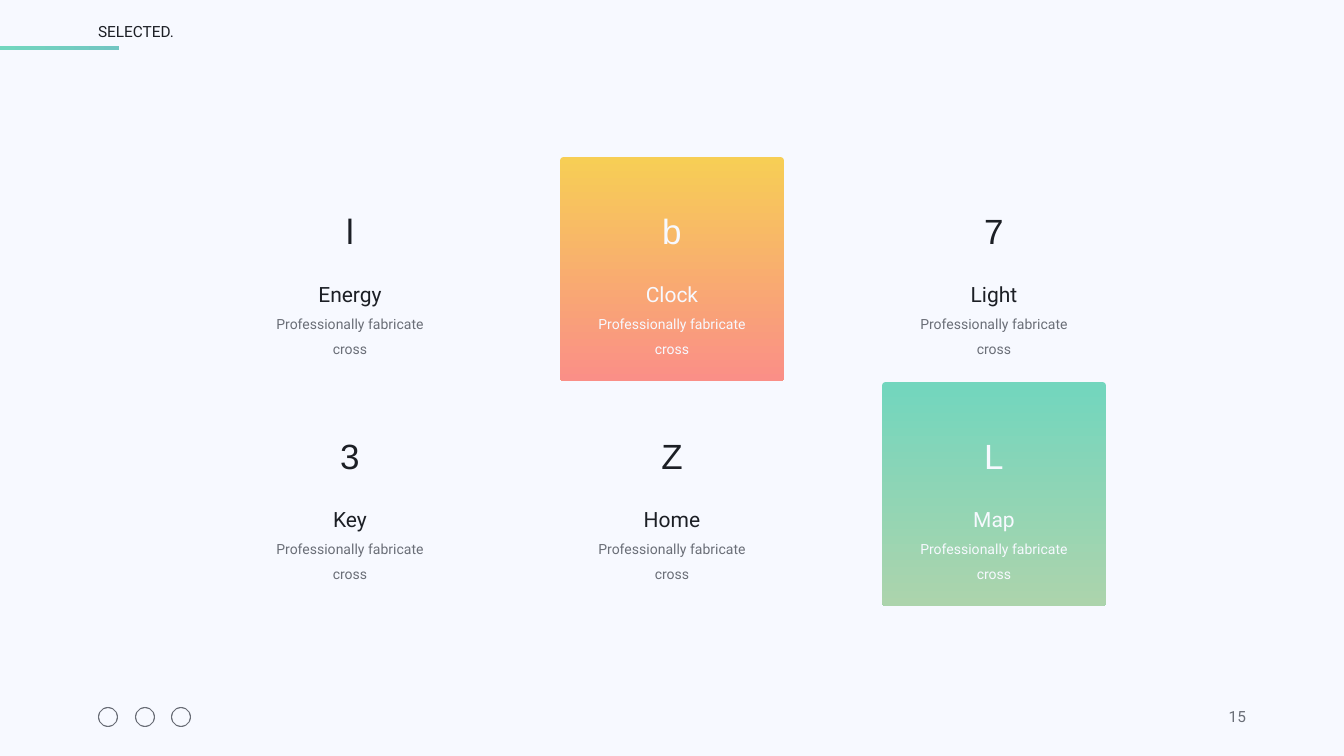
from pptx import Presentation
from pptx.dml.color import RGBColor
from pptx.enum.shapes import MSO_SHAPE as Shape
from pptx.enum.text import MSO_ANCHOR as Anchor, MSO_AUTO_SIZE as AutoSize, PP_ALIGN as Align
from pptx.util import Pt

INK, GREY, PALE = "1C1F25", "6A6E77", "F7F9FF"
TITLE = "SELECTED."
PAGE_NUMBER = "15"
CAPTION = "Professionally fabricate cross"
SUNSET, MEADOW = ("F7CE55", "FA8F87"), ("72D6BE", "ACD4AC")
BAR_COLORS = ("72D6BE", "72C6C2")

# Rows of features: icon letter, name, card gradient
FEATURES = [
    [("l", "Energy", None), ("b", "Clock", SUNSET), ("7", "Light", None)],
    [("3", "Key", None), ("Z", "Home", None), ("L", "Map", MEADOW)],
]

# Lengths in px
SCALE = 914400 / 50.4
GRID_LEFT, GRID_TOP = 238, 157
COLUMN_STEP, ROW_STEP = 322, 225
CARD = 224
RING_LEFT, RING_TOP, RING_SIZE = 98, 707, 20
RING_LEFTS = (98, 135, 171)


def px(*lengths):
    return [round(length * SCALE) for length in lengths]


def color(hex_string):
    return RGBColor.from_string(hex_string)


def add_filled(page, kind, place, colors, angle=0):
    shape = page.shapes.add_shape(kind, *px(*place))
    shape.shadow.inherit = False
    shape.line.fill.background()
    if len(colors) == 1:
        shape.fill.solid()
        shape.fill.fore_color.rgb = color(colors[0])
    else:
        shape.fill.gradient()
        shape.fill.gradient_angle = angle
        for stop, stop_color in zip(shape.fill.gradient_stops, colors):
            stop.color.rgb = color(stop_color)
    return shape


def write(box, lines, align, spacing=None, anchor=Anchor.TOP):
    """Fill a tight box with lines of (text, size, font, color)."""
    frame = box.text_frame
    frame.text = "\n".join(line[0] for line in lines)
    frame.margin_left = frame.margin_top = frame.margin_right = frame.margin_bottom = 0
    frame.vertical_anchor = anchor
    frame.word_wrap = False
    frame.auto_size = AutoSize.SHAPE_TO_FIT_TEXT
    for para, (_, size, font, ink) in zip(frame.paragraphs, lines):
        para.alignment = align
        para.line_spacing = spacing
        for span in para.runs:
            span.font.size = Pt(size)
            span.font.name = font
            span.font.color.rgb = color(ink)


def add_feature(page, left, top, letter, name, gradient):
    if gradient:
        card = add_filled(page, Shape.ROUNDED_RECTANGLE, (left, top, CARD, CARD), gradient, 270)
        card.adjustments[0] = 0.017
    ink, caption_ink = (PALE, PALE) if gradient else (INK, GREY)
    icon = page.shapes.add_textbox(*px(left + 94, top + 45, 36, 37))
    write(icon, [(letter, 50, "Arial", ink)], Align.CENTER, 1.5, Anchor.MIDDLE)
    label = page.shapes.add_textbox(*px(left + 21, top + 112, 182, 59))
    write(label, [(name, 30, "Roboto", ink), (CAPTION, 20, "Roboto", caption_ink)],
          Align.CENTER, 1.5)


def main():
    deck = Presentation()
    deck.slide_width, deck.slide_height = px(1344, 756)
    page = deck.slides.add_slide(deck.slide_layouts[5])
    page.background.fill.solid()
    page.background.fill.fore_color.rgb = color(PALE)

    # Title and its accent bar
    title = page.shapes.title
    title.left, title.top, title.width, title.height = px(98, 22, 77, 20)
    write(title, [(TITLE, 22, "Roboto", INK)], Align.LEFT)
    add_filled(page, Shape.RECTANGLE, (0, 46, 119, 4), BAR_COLORS)

    # Footer: plain rings and page number
    for left in RING_LEFTS:
        ring = add_filled(page, Shape.DONUT, (left, RING_TOP, RING_SIZE, RING_SIZE), [GREY])
        ring.adjustments[0] = 0.05
    number = page.shapes.add_textbox(*px(1201, 707, 45, 20))
    write(number, [(PAGE_NUMBER, 22, "Roboto", GREY)], Align.RIGHT)
    number.text_frame.word_wrap = True

    # Feature grid
    for row, features in enumerate(FEATURES):
        for column, feature in enumerate(features):
            add_feature(page, GRID_LEFT + column * COLUMN_STEP,
                        GRID_TOP + row * ROW_STEP, *feature)

    deck.save("out.pptx")


if __name__ == "__main__":
    main()
